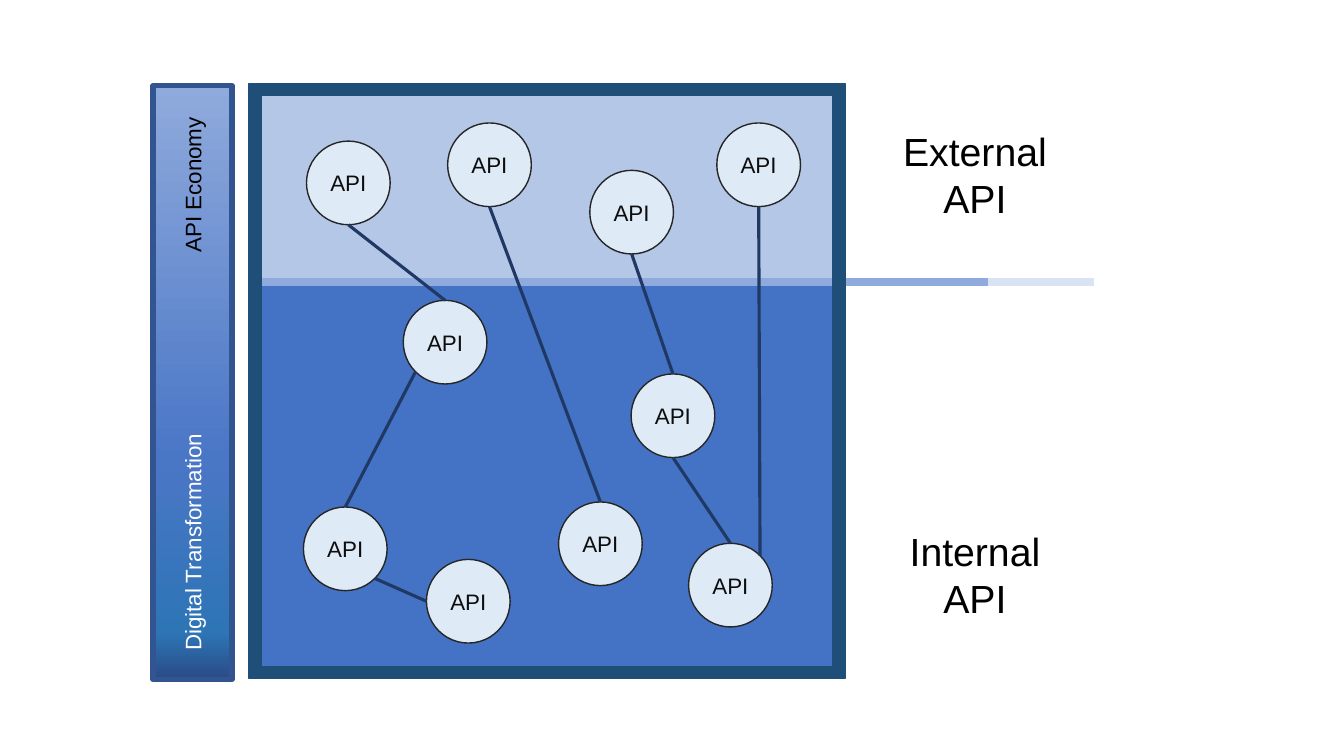
from copy import deepcopy
from math import cos, radians, sin

from lxml.etree import SubElement
from pptx import Presentation
from pptx.dml.color import RGBColor
from pptx.enum.shapes import MSO_CONNECTOR, MSO_SHAPE
from pptx.enum.text import MSO_ANCHOR, MSO_AUTO_SIZE, PP_ALIGN
from pptx.oxml.ns import qn
from pptx.util import Inches, Pt

BLACK = RGBColor(0x00, 0x00, 0x00)
WHITE = RGBColor(0xFF, 0xFF, 0xFF)
SKY = RGBColor(0xB4, 0xC7, 0xE7)
WATER = RGBColor(0x44, 0x72, 0xC4)
SURFACE = RGBColor(0x8F, 0xAA, 0xDC)
SURFACE_TIP = RGBColor(0xDA, 0xE3, 0xF3)
FRAME = RGBColor(0x1F, 0x4E, 0x79)
LINK = RGBColor(0x20, 0x38, 0x64)
NODE = RGBColor(0xDE, 0xEB, 0xF7)
NODE_EDGE = RGBColor(0x26, 0x26, 0x26)
NODE_TEXT = RGBColor(0x0D, 0x0D, 0x0D)
BAR_EDGE = RGBColor(0x32, 0x54, 0x91)
BAR_STOPS = [
    (0, RGBColor(0x2A, 0x4B, 0x86)),
    (0.08, RGBColor(0x2E, 0x75, 0xB6)),
    (0.37, RGBColor(0x4A, 0x76, 0xC6)),
    (1, SURFACE),
]

NODE_SIZE = 0.83
# Connection sites of an ellipse run counter-clockwise from the top.
TOP, LEFT, LOWER_LEFT, BOTTOM, LOWER_RIGHT, UPPER_RIGHT = 0, 2, 3, 4, 5, 7

# Left and top of each API node, relative to the tank.
NODES = {
    "external 1": (0.57, 0.57),
    "external 2": (1.97, 0.39),
    "external 3": (3.38, 0.86),
    "external 4": (4.64, 0.39),
    "middle left": (1.53, 2.15),
    "middle right": (3.79, 2.88),
    "deep 1": (0.54, 4.2),
    "deep 2": (1.76, 4.72),
    "deep 3": (3.07, 4.15),
    "deep 4": (4.36, 4.56),
}
LINKS = [
    ("deep 2", LEFT, "deep 1", LOWER_RIGHT),
    ("deep 1", TOP, "middle left", LOWER_LEFT),
    ("external 2", BOTTOM, "deep 3", TOP),
    ("middle right", BOTTOM, "deep 4", TOP),
    ("middle right", TOP, "external 3", BOTTOM),
    ("middle left", TOP, "external 1", BOTTOM),
    ("external 4", BOTTOM, "deep 4", UPPER_RIGHT),
]


def add_block(slide, preset, box, fill=None, edge=None, edge_width=1):
    block = slide.shapes.add_shape(preset, *map(Inches, box))
    block.shadow.inherit = False
    if fill is not None:
        block.fill.solid()
        block.fill.fore_color.rgb = fill
    if edge is None:
        block.line.fill.background()
    else:
        block.line.color.rgb = edge
        block.line.width = Pt(edge_width)
    return block


def add_line(slide, start, end, color, width):
    line = slide.shapes.add_connector(
        MSO_CONNECTOR.STRAIGHT, *(Inches(value) for value in (*start, *end)))
    line.line.color.rgb = color
    line.line.width = Pt(width)
    SubElement(line._element.spPr, qn("a:effectLst"))
    return line


def write(frame, lines, size, color, align):
    for index, text in enumerate(lines):
        paragraph = frame.paragraphs[0] if index == 0 else frame.add_paragraph()
        paragraph.alignment = align
        run = paragraph.add_run()
        run.text = text
        for name, value in {"name": "Arial", "size": Pt(size)}.items():
            setattr(run.font, name, value)
        run.font.color.rgb = color


def add_label(slide, box, lines, size, color, align=PP_ALIGN.LEFT, rotation=0):
    label = slide.shapes.add_textbox(*map(Inches, box))
    label.rotation = rotation
    label.text_frame.word_wrap = False
    label.text_frame.auto_size = MSO_AUTO_SIZE.SHAPE_TO_FIT_TEXT
    write(label.text_frame, lines, size, color, align)


def add_node(slide, left, top):
    node = add_block(slide, MSO_SHAPE.OVAL, (left, top, NODE_SIZE, NODE_SIZE),
                     NODE, NODE_EDGE)
    frame = node.text_frame
    margins = dict.fromkeys(
        ("margin_left", "margin_right", "margin_top", "margin_bottom"), 0)
    for name, value in {**margins, "vertical_anchor": MSO_ANCHOR.MIDDLE}.items():
        setattr(frame, name, value)
    write(frame, ["API"], 16, NODE_TEXT, PP_ALIGN.CENTER)
    return node


def site_point(left, top, site):
    """Place of a connection site on the node whose corner is given."""
    angle = radians(90 + 45 * site)
    radius = NODE_SIZE / 2
    return left + radius + radius * cos(angle), top + radius - radius * sin(angle)


def add_network(slide, left, top):
    """API nodes with the links glued to their connection sites."""
    corners = {name: (left + x, top + y) for name, (x, y) in NODES.items()}
    nodes = {name: add_node(slide, *corner) for name, corner in corners.items()}
    for source, source_site, target, target_site in LINKS:
        link = add_line(slide, site_point(*corners[source], source_site),
                        site_point(*corners[target], target_site), LINK, 2.25)
        ends = link._element.nvCxnSpPr.cNvCxnSpPr
        for tag, name, site in (("a:stCxn", source, source_site),
                                ("a:endCxn", target, target_site)):
            SubElement(ends, qn(tag), id=str(nodes[name].shape_id), idx=str(site))


def add_tank(slide, left, top, width, height):
    """Framed sky and water, with the surface line running out to the right."""
    surface = top + height / 3
    right = left + width
    add_block(slide, MSO_SHAPE.RECTANGLE, (left, top, width, height / 3), SKY)
    add_block(slide, MSO_SHAPE.RECTANGLE,
              (left, surface, width, height * 2 / 3), WATER)
    add_line(slide, (right + 2.47, surface), (right + 1.4, surface), SURFACE_TIP, 6)
    add_line(slide, (left, surface), (right + 1.42, surface), SURFACE, 6)
    add_network(slide, left, top)
    frame = add_block(slide, MSO_SHAPE.FRAME, (left, top, width, height),
                      FRAME, FRAME)
    frame.adjustments[0] = 0.02


def add_scale_bar(slide, left, top, width, height):
    """Gradient bar, dark at the bottom, with two upward labels."""
    bar = add_block(slide, MSO_SHAPE.RECTANGLE, (left, top, width, height),
                    edge=BAR_EDGE, edge_width=4)
    bar.fill.gradient()
    bar.fill.gradient_angle = 90
    stop_list = bar.fill._fill._gradFill.gsLst
    for _ in BAR_STOPS[2:]:
        stop_list.append(deepcopy(stop_list[0]))
    for stop, (position, color) in zip(bar.fill.gradient_stops, BAR_STOPS):
        stop.position = position
        stop.color.rgb = color
    middle = left + width / 2
    for text, length, offset, color in (
            ("API Economy", 1.56, 0.79, BLACK),
            ("Digital Transformation", 2.38, 4.33, WHITE)):
        add_label(slide, (middle - length / 2, top + offset, length, 0.37),
                  [text], 16, color, rotation=270)


def add_zone_names(slide, left, top, width):
    for zone, offset in (("External", 0), ("Internal", 3.97)):
        add_label(slide, (left, top + offset, width, 1.04), [zone, "API"],
                  28, BLACK, PP_ALIGN.CENTER)


def main():
    deck = Presentation()
    deck.slide_width, deck.slide_height = Inches(13.33), Inches(7.5)
    slide = deck.slides.add_slide(deck.slide_layouts[6])
    add_tank(slide, 2.47, 0.83, 5.91, 5.9)
    add_scale_bar(slide, 1.52, 0.85, 0.78, 5.89)
    add_zone_names(slide, 8.85, 1.21, 1.64)
    deck.save("out.pptx")


if __name__ == "__main__":
    main()
